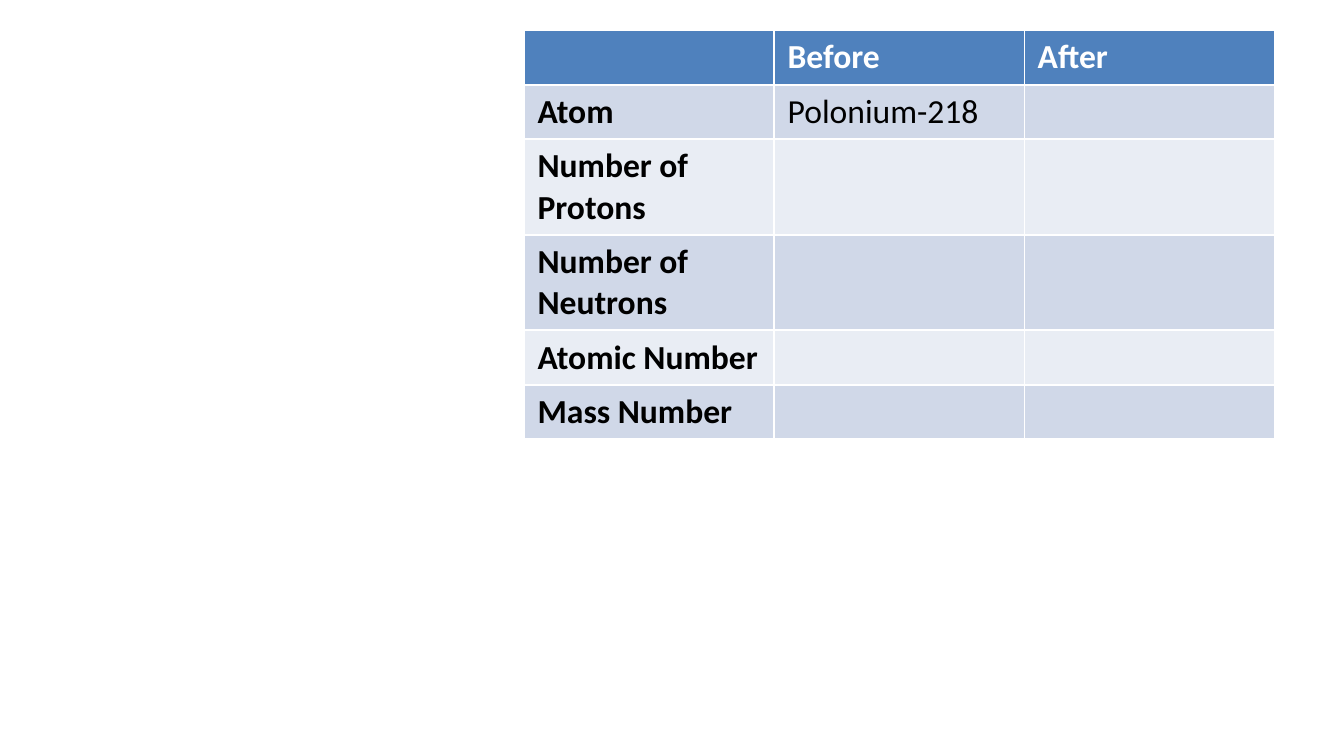
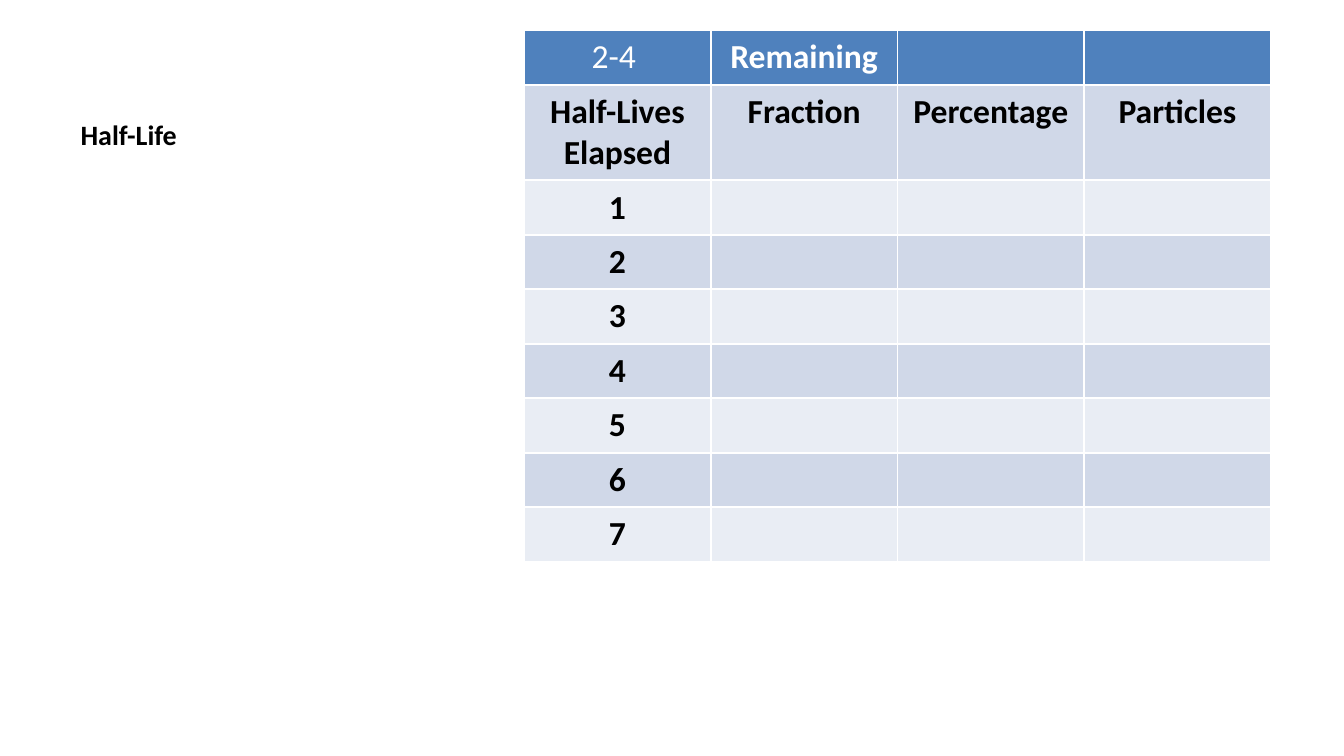
from dataclasses import dataclass

from lxml.etree import SubElement
from pptx import Presentation
from pptx.dml.color import RGBColor
from pptx.enum.text import MSO_ANCHOR, PP_ALIGN
from pptx.oxml.ns import qn
from pptx.util import Inches, Pt

WIDE = Inches(10)
HIGH = WIDE * 9 // 16
FONT = "Calibri"
WHITE, BLACK, BLUE = "FFFFFF", "000000", "4F81BD"
BANDS = ("D0D8E8", "E9EDF4")
TOP = 0.04
TITLE_ONLY, BLANK = 5, 6


@dataclass(frozen=True)
class Grid:
    rows: tuple[tuple[str, ...], ...]
    col: float
    align: PP_ALIGN
    plain: str  # the one text that is not bold


@dataclass(frozen=True)
class Page:
    grid: Grid
    title: str = ""


ATOM = Grid(
    rows=(
        ("", "Before", "After"),
        ("Atom", "Polonium-218"),
        ("Number of Protons",),
        ("Number of Neutrons",),
        ("Atomic Number",),
        ("Mass Number",),
    ),
    col=0.1861,
    align=PP_ALIGN.LEFT,
    plain="Polonium-218",
)
DECAY = Grid(
    rows=(
        ("2-4 ", "Remaining"),
        ("Half-Lives Elapsed", "Fraction", "Percentage", "Particles"),
        *((str(n),) for n in range(1, 8)),
    ),
    col=0.1389,
    align=PP_ALIGN.CENTER,
    plain="2-4 ",
)
PAGES = (Page(ATOM), Page(DECAY, "Half-Life"))


def across(share: float) -> int:
    return round(WIDE * share)


def down(share: float) -> int:
    return round(HIGH * share)


def color(code: str) -> RGBColor:
    return RGBColor.from_string(code)


def style(para, size: float, code: str, bold: bool, align: PP_ALIGN) -> None:
    para.alignment = align
    font = para.font
    font.name, font.size, font.bold = FONT, Pt(size), bold
    font.color.rgb = color(code)


def edge(cell) -> None:
    """Draw thin white borders on all four sides."""
    props = cell._tc.get_or_add_tcPr()
    for side in "LRTB":
        line = SubElement(props, qn(f"a:ln{side}"), w=str(Pt(1)))
        fill = SubElement(line, qn("a:solidFill"))
        SubElement(fill, qn("a:srgbClr"), val=WHITE)


def add_grid(slide, grid: Grid) -> None:
    count = max(map(len, grid.rows))
    wide, high = across(0.558), down(0.852)
    frame = slide.shapes.add_table(
        len(grid.rows), count, across(0.39), down(TOP), wide, high
    )
    table = frame.table
    for col in table.columns:
        col.width = across(grid.col)
    for r, texts in enumerate(grid.rows):
        table.rows[r].height = 0  # each row grows to fit its text
        head = r == 0
        for c in range(count):
            cell = table.cell(r, c)
            edge(cell)
            cell.fill.solid()
            cell.fill.fore_color.rgb = color(BLUE if head else BANDS[(r - 1) % 2])
            if c < len(texts) and texts[c]:
                cell.text = texts[c]
                style(cell.text_frame.paragraphs[0], 18, WHITE if head else BLACK,
                      texts[c] != grid.plain, grid.align)
    frame.width, frame.height = wide, high


def set_title(slide, text: str) -> None:
    title = slide.shapes.title
    title.left, title.top = across(0.05), down(TOP)
    title.width, title.height = across(0.329), down(0.169)
    frame = title.text_frame
    frame.text = text
    frame.vertical_anchor = MSO_ANCHOR.BOTTOM
    style(frame.paragraphs[0], 15, BLACK, True, PP_ALIGN.LEFT)


def main() -> None:
    deck = Presentation()
    deck.slide_width, deck.slide_height = WIDE, HIGH
    for page in PAGES:
        layout = deck.slide_layouts[TITLE_ONLY if page.title else BLANK]
        slide = deck.slides.add_slide(layout)
        if page.title:
            set_title(slide, page.title)
        add_grid(slide, page.grid)
    deck.save("out.pptx")


if __name__ == "__main__":
    main()
